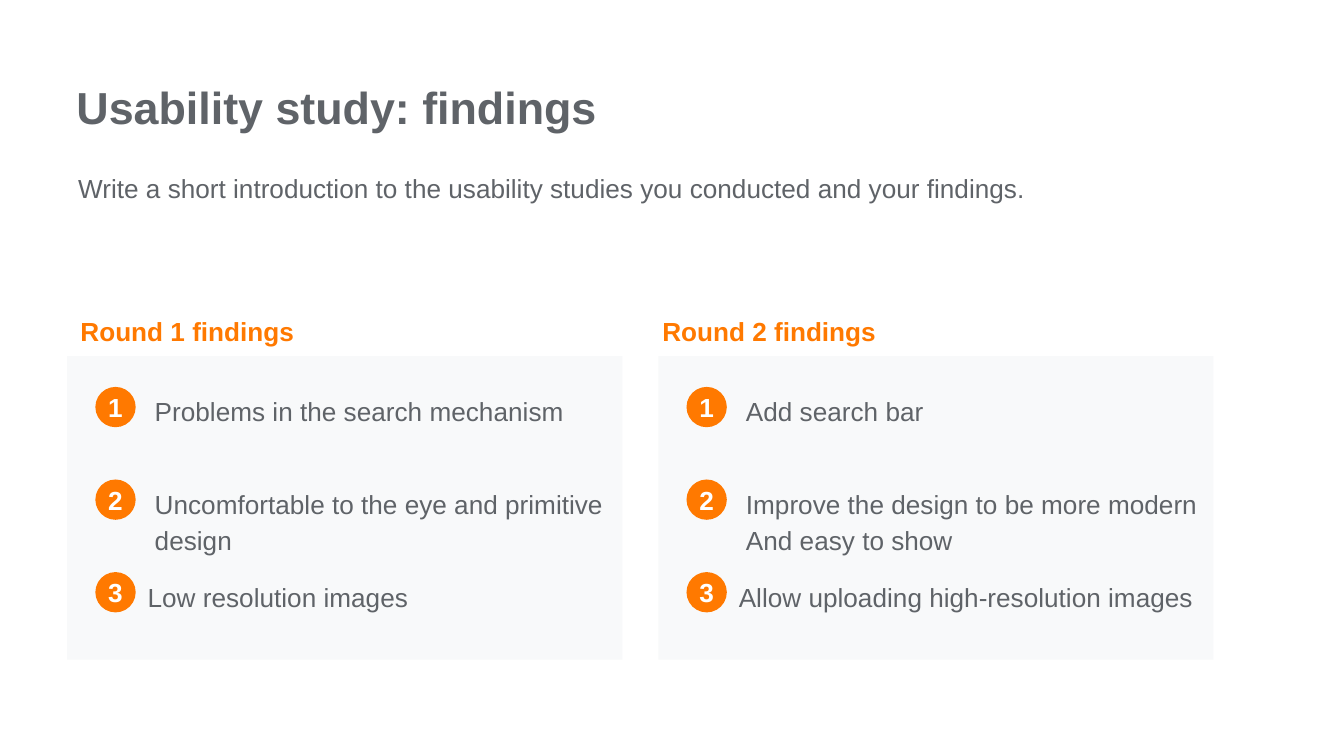
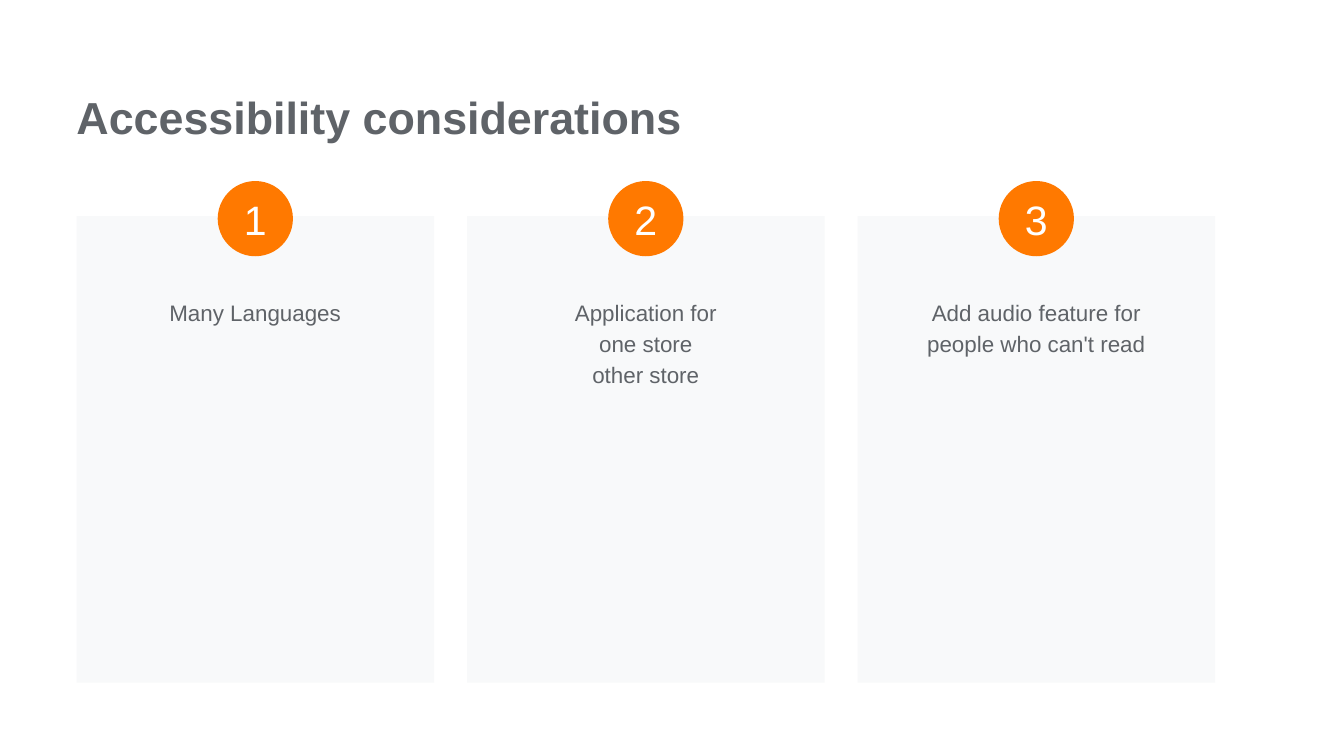
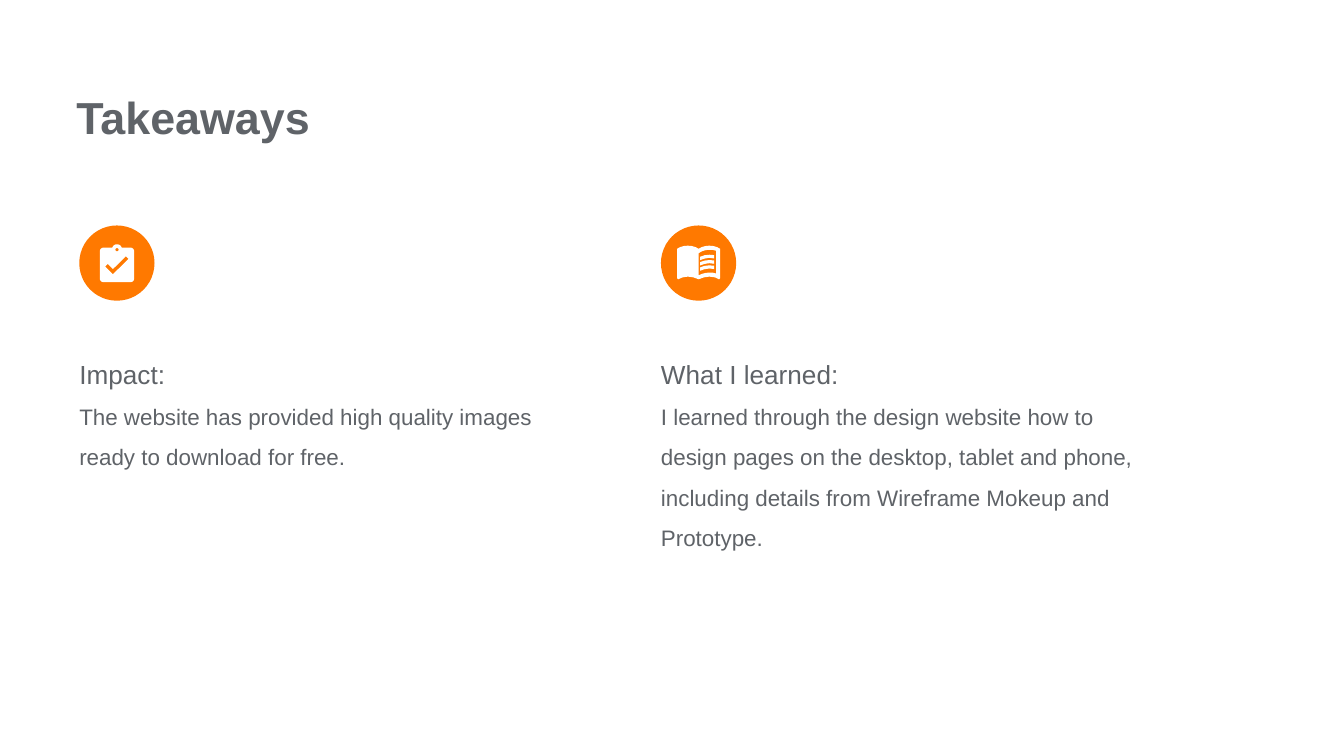
from copy import deepcopy
from math import cos, radians, sin

from pptx import Presentation
from pptx.dml.color import RGBColor
from pptx.enum.shapes import MSO_SHAPE
from pptx.enum.text import MSO_ANCHOR, MSO_AUTO_SIZE, PP_ALIGN
from pptx.util import Pt

RECTANGLE, ELLIPSE = MSO_SHAPE.RECTANGLE, MSO_SHAPE.OVAL
CENTER, MIDDLE = PP_ALIGN.CENTER, MSO_ANCHOR.MIDDLE
GROW = MSO_AUTO_SIZE.SHAPE_TO_FIT_TEXT

GRAY, ORANGE, PANEL, WHITE = "5F6368", "FF7900", "F8F9FA", "FFFFFF"
FONT = "Arial"
BLANK_LAYOUT = 6
INSET = 7.2
BADGE = 40.3


def color(hex_value):
    return RGBColor.from_string(hex_value)


def set_attributes(target, values):
    for name, value in values.items():
        setattr(target, name, value)


# Shared parts

def write_paragraph(paragraph, text, size, text_color=GRAY, bold=False, **formats):
    paragraph.text = text
    set_attributes(paragraph, formats)
    for run in paragraph.runs:
        set_attributes(run.font, {"name": FONT, "size": Pt(size), "bold": bold})
        run.font.color.rgb = color(text_color)
    # Line breaks take the size of the text around them
    for line_break in paragraph._p.findall("{*}br"):
        line_break.insert(0, deepcopy(paragraph.runs[0]._r.rPr))


def add_text(slide, box, lines, left_inset=INSET, **formats):
    """Write (text, size) lines into a text box that grows with them."""
    frame = slide.shapes.add_textbox(*map(Pt, box)).text_frame
    set_attributes(frame, {
        "word_wrap": True, "auto_size": GROW, "margin_left": Pt(left_inset),
        "margin_right": Pt(INSET), "margin_top": Pt(INSET), "margin_bottom": Pt(INSET),
    })
    for index, (text, size) in enumerate(lines):
        paragraph = frame.add_paragraph() if index else frame.paragraphs[0]
        write_paragraph(paragraph, text, size, **formats)


def style_shape(shape, fill):
    shape.shadow.inherit = False
    shape.fill.solid()
    shape.fill.fore_color.rgb = color(fill)
    shape.line.fill.background()


def add_block(slide, kind, box, fill):
    shape = slide.shapes.add_shape(kind, *map(Pt, box))
    style_shape(shape, fill)
    return shape


def add_badge(slide, left, top, diameter, number=None, size=22, bold=False):
    badge = add_block(slide, ELLIPSE, (left, top, diameter, diameter), ORANGE)
    if number is None:
        return
    frame = badge.text_frame
    set_attributes(frame, {
        "margin_left": 0, "margin_right": 0, "margin_top": 0, "margin_bottom": 0,
        "vertical_anchor": MIDDLE,
    })
    write_paragraph(frame.paragraphs[0], str(number), size, WHITE, bold, alignment=CENTER)


def add_outline(shapes, left, top, contours):
    """Draw closed contours, relative to left and top, as one white shape."""
    contours = [[(Pt(left + x), Pt(top + y)) for x, y in contour] for contour in contours]
    builder = shapes.build_freeform(*contours[0][0], scale=1.0)
    for index, contour in enumerate(contours):
        if index:
            builder.move_to(*contour[0])
        builder.add_line_segments(contour[1:], close=True)
    style_shape(builder.convert_to_shape(), WHITE)


def arc(center_x, center_y, radius, start, end, steps=12):
    angles = [radians(start + (end - start) * step / steps) for step in range(steps + 1)]
    return [(center_x + radius * cos(angle), center_y + radius * sin(angle))
            for angle in angles]


def add_titled_slide(presentation, title, top=41, width=540):
    slide = presentation.slides.add_slide(presentation.slide_layouts[BLANK_LAYOUT])
    add_text(slide, (41, top, width, 43.9), [(title, 24)], left_inset=0, bold=True)
    return slide


# Icons, placed relative to their badge

def draw_clipboard(slide, left, top):
    near, far, upper, lower, radius = 11, 29.4, 11.9, 30.4, 2
    board = (
        arc(near + radius, upper + radius, radius, 180, 270)
        + arc(20.2, 12.8, 2.7, 200, 340)
        + arc(far - radius, upper + radius, radius, 270, 360)
        + arc(far - radius, lower - radius, radius, 0, 90)
        + arc(near + radius, lower - radius, radius, 90, 180)
    )
    hole = arc(20.2, 13, 0.9, 360, 0)
    check = [(18, 26.2), (13.8, 22), (15.2, 20.6), (18, 23.4), (25, 16.5), (26.4, 17.9)]
    add_outline(slide.shapes, left, top, [board, hole, check])


def draw_book(slide, left, top):
    shapes = slide.shapes.add_group_shape().shapes
    cover = [
        (8.6, 12.5), (10.2, 11.6), (12.2, 11), (14.4, 10.8), (16.6, 11),
        (18.6, 11.6), (20.2, 12.5), (21.8, 11.6), (23.8, 11), (25.9, 10.8),
        (28.1, 11), (30.1, 11.6), (31.7, 12.5), (31.7, 28.2), (31.1, 28.8),
        (29, 27.8), (25.9, 27.4), (23, 27.8), (20.2, 28.8), (17.4, 27.8),
        (14.4, 27.4), (11.6, 27.8), (9.2, 28.8), (8.6, 28.2),
    ]
    page = [
        (20.2, 14.8), (22, 13.8), (24, 13.2), (25.9, 13), (27.8, 13.1),
        (29.5, 13.5), (29.5, 25.7), (27.8, 25.3), (25.9, 25.2), (24, 25.4),
        (22, 25.9), (20.2, 26.7),
    ]
    add_outline(shapes, left, top, [cover, page])
    # Three lines of print at equal gaps
    print_line = [
        (21, 16.8), (23.3, 16), (25.9, 15.7), (28.4, 15.9),
        (28.4, 17.7), (25.9, 17.4), (23.3, 17.8), (21, 18.6),
    ]
    for row in range(3):
        add_outline(shapes, left, top + 2.85 * row, [print_line])


# Regions

def add_round(slide, left, top, heading, heading_shift, findings):
    """A heading over a panel of numbered findings."""
    add_text(slide, (left + heading_shift, top - 31.7, 262.8, 31.9), [(heading, 14)],
             text_color=ORANGE, bold=True, line_spacing=1.15)
    add_block(slide, RECTANGLE, (left, top, 297.4, 162.6), PANEL)
    for index, (indent, height, finding) in enumerate(findings):
        row_top = top + 11.5 + 49.6 * index
        add_text(slide, (left + indent, row_top, 262.8, height), [(finding, 14)],
                 line_spacing=1.15)
        add_badge(slide, left + 15.1, row_top + 5, 21.6, index + 1, 14, True)


def add_consideration(slide, left, top, number, text, text_height):
    """A card with its number over the top edge."""
    width = 191.6
    add_block(slide, RECTANGLE, (left, top, width, 249.9), PANEL)
    add_text(slide, (left + 15.1, top + 35.3, width - 30.2, text_height), [(text, 12)],
             alignment=CENTER, line_spacing=1.15)
    add_badge(slide, left + (width - BADGE) / 2, top - 18.8, BADGE, number)


def add_takeaway(slide, left, top, draw_icon, heading, text, text_height):
    """An icon badge over a heading and its text."""
    add_text(slide, (left, top + 55.6, 271.4, text_height), [(heading, 14), (text, 12)],
             left_inset=0, line_spacing=1.5)
    add_badge(slide, left, top, BADGE)
    draw_icon(slide, left, top)


# Slides

def build_findings(presentation):
    slide = add_titled_slide(presentation, "Usability study: findings", top=35.3)
    introduction = ("Write a short introduction to the usability studies "
                    "you conducted and your findings.")
    add_text(slide, (41.9, 82.8, 620, 51), [(introduction, 14)],
             left_inset=0, line_spacing=1.15)
    rounds = [
        ("Round 1 findings", 0, [
            "Problems in the search mechanism",
            "Uncomfortable to the eye and primitive design",
            "Low resolution images"]),
        ("Round 2 findings", -5, [
            "Add search bar",
            "Improve the design to be more modern\vAnd easy to show",
            "Allow uploading high-resolution images"]),
    ]
    text_places = [(39.8, 31.9), (39.8, 51), (36, 31.9)]
    for index, (heading, shift, texts) in enumerate(rounds):
        findings = [(*place, text) for place, text in zip(text_places, texts)]
        add_round(slide, 36 + 316.7 * index, 190.8, heading, shift, findings)


def build_considerations(presentation):
    slide = add_titled_slide(presentation, "Accessibility considerations")
    cards = [
        ("Many Languages", 29),
        ("Application for\vone store\vother store", 62.6),
        ("Add audio feature for people who can't read", 46),
    ]
    for index, (text, height) in enumerate(cards):
        add_consideration(slide, 41 + 209.2 * index, 115.8, index + 1, text, height)


def build_takeaways(presentation):
    slide = add_titled_slide(presentation, "Takeaways", width=388)
    takeaways = [
        (draw_clipboard, "Impact:",
         "The website has provided high quality images ready to download for free.", 76.3),
        (draw_book, "What I learned:",
         "I learned through the design website how to design pages on the desktop, "
         "tablet and phone, including details from Wireframe Mokeup and Prototype.", 120.2),
    ]
    for index, takeaway in enumerate(takeaways):
        add_takeaway(slide, 42.5 + 311.6 * index, 120.8, *takeaway)


def main():
    presentation = Presentation()
    set_attributes(presentation, {"slide_width": Pt(720), "slide_height": Pt(405)})
    build_findings(presentation)
    build_considerations(presentation)
    build_takeaways(presentation)
    presentation.save("out.pptx")


if __name__ == "__main__":
    main()
